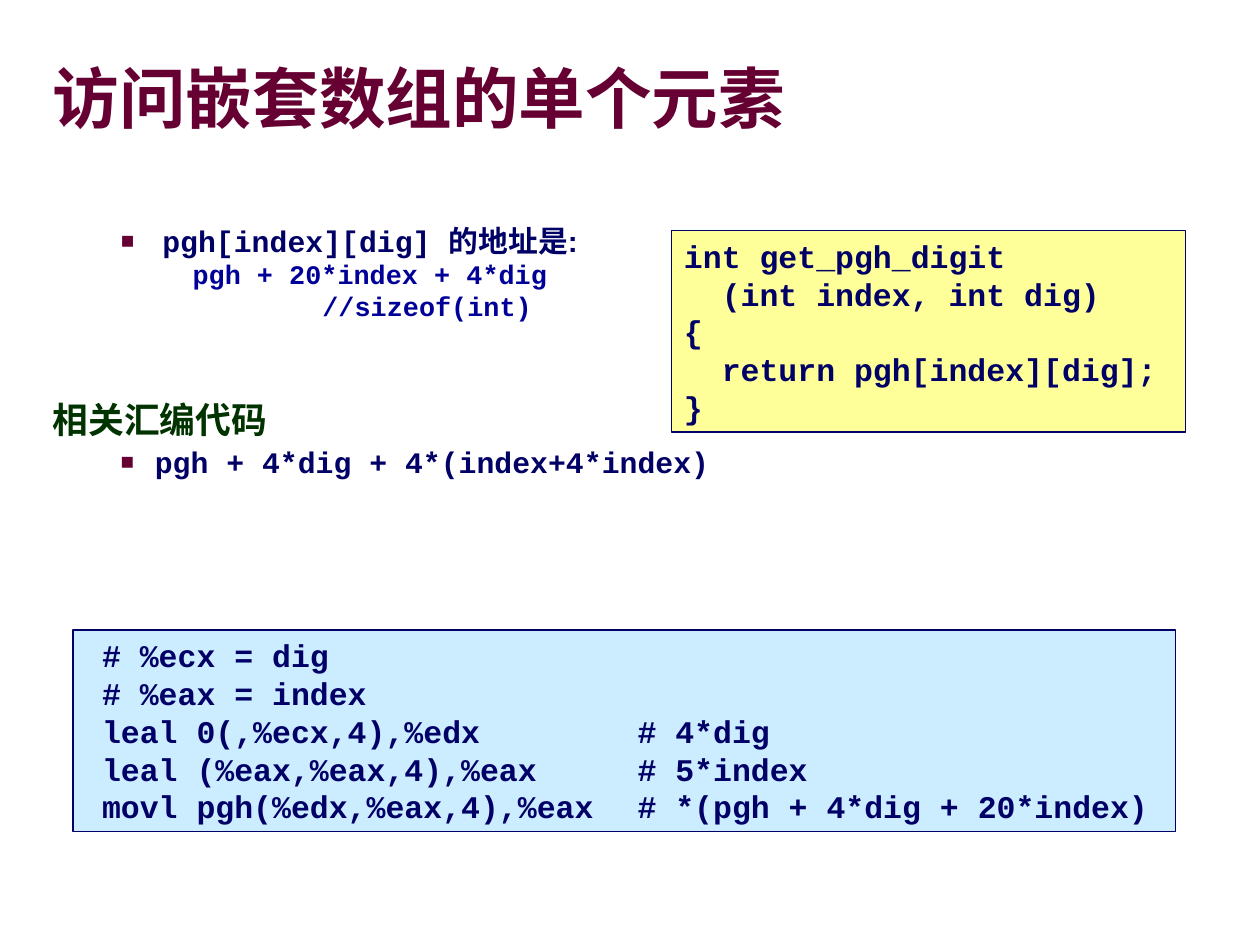
from lxml import etree
from pptx import Presentation
from pptx.dml.color import RGBColor
from pptx.enum import shapes, text
from pptx.oxml.ns import qn
from pptx.util import Inches, Pt

NAVY = "000066"
MAROON = "660033"
CODE_FONT = "Courier New"


def color(value):
    return RGBColor.from_string(value)


def add_element(parent, tag, **attributes):
    return etree.SubElement(parent, qn(tag), attributes)


def set_frame(frame, margins, anchor=text.MSO_ANCHOR.TOP):
    left, top, right, bottom = margins
    values = {
        "word_wrap": True,
        "vertical_anchor": anchor,
        "margin_left": Inches(left),
        "margin_top": Inches(top),
        "margin_right": Inches(right),
        "margin_bottom": Inches(bottom),
    }
    for name, value in values.items():
        setattr(frame, name, value)


def add_run(paragraph, content, font, size, fill):
    run = paragraph.add_run()
    run.text = content
    for name, value in {"name": font, "size": Pt(size), "bold": True}.items():
        setattr(run.font, name, value)
    run.font.color.rgb = color(fill)
    return run


def place(shape, box):
    for name, value in zip(("left", "top", "width", "height"), box):
        setattr(shape, name, Inches(value))


def add_title(slide, box, content):
    title = slide.shapes.title
    place(title, box)
    set_frame(title.text_frame, (0, 0, 0, 0), text.MSO_ANCHOR.MIDDLE)
    paragraph = title.text_frame.paragraphs[0]
    paragraph.alignment = text.PP_ALIGN.LEFT
    paragraph.line_spacing = 0.87
    run = add_run(paragraph, content, "Arial", 38, MAROON)
    # Text shadow, directly after the fill of the run
    effects = etree.Element(qn("a:effectLst"))
    shadow = add_element(effects, "a:outerShdw", dist="50800", dir="2700000")
    add_element(shadow, "a:srgbClr", val="969696")
    run.font._element.find(qn("a:solidFill")).addnext(effects)


def add_outline(slide, box, items):
    shape = slide.shapes.add_textbox(*map(Inches, box))
    frame = shape.text_frame
    set_frame(frame, (0.1, 0.05, 0.1, 0.05))
    for number, item in enumerate(items):
        paragraph = frame.paragraphs[0] if number == 0 else frame.add_paragraph()
        paragraph.space_before = Pt(item.get("before", 0))
        paragraph.line_spacing = item.get("spacing", 1.0)
        properties = paragraph._p.get_or_add_pPr()
        properties.set("marL", str(Inches(item.get("left", 0))))
        if "hanging" in item:
            properties.set("indent", str(-Inches(item["hanging"])))
            bullet_color = add_element(properties, "a:buClr")
            add_element(bullet_color, "a:srgbClr", val=MAROON)
            add_element(properties, "a:buSzPct", val="75000")
            add_element(properties, "a:buFont", typeface="Arial")
            add_element(properties, "a:buChar", char="■")
        for content, font in item["runs"]:
            add_run(paragraph, content, font, item["size"], item["fill"])


def add_code(slide, box, fill, lines, left_margin=0.1, tab=None):
    shape = slide.shapes.add_shape(shapes.MSO_SHAPE.RECTANGLE, *map(Inches, box))
    shape.shadow.inherit = False
    shape.fill.solid()
    shape.fill.fore_color.rgb = color(fill)
    shape.line.color.rgb = color(NAVY)
    shape.line.width = Pt(1)
    frame = shape.text_frame
    set_frame(frame, (left_margin, 0.05, 0.1, 0.05))
    frame.auto_size = text.MSO_AUTO_SIZE.SHAPE_TO_FIT_TEXT
    for number, line in enumerate(lines):
        paragraph = frame.paragraphs[0] if number == 0 else frame.add_paragraph()
        paragraph.alignment = text.PP_ALIGN.LEFT
        if tab:
            tabs = add_element(paragraph._p.get_or_add_pPr(), "a:tabLst")
            add_element(tabs, "a:tab", pos=str(Inches(tab)), algn="l")
        add_run(paragraph, line, CODE_FONT, 18, NAVY)


def main():
    presentation = Presentation()
    presentation.slide_width = Inches(10)
    presentation.slide_height = Inches(7.5)
    slide = presentation.slides.add_slide(presentation.slide_layouts[5])

    add_title(slide, (0.42, 0.5, 9.06, 0.63), "访问嵌套数组的单个元素")

    # Address rule and its assembly form
    bullet = {"size": 17, "fill": NAVY}
    formula = {"size": 15.3, "fill": "000099", "spacing": 0.87, "before": 2.2}
    add_outline(slide, (0.32, 1.72, 6.29, 2.31), [
        {**bullet, "left": 0.87, "hanging": 0.33,
         "runs": [("pgh[index][dig] ", CODE_FONT), ("的地址是:", "Arial")]},
        {**formula, "left": 1.11, "runs": [("pgh + 20*index + 4*dig", CODE_FONT)]},
        {**formula, "left": 2.14, "runs": [("//sizeof(int)", CODE_FONT)]},
        {"size": 20.4, "fill": "003300", "spacing": 0.75, "before": 49,
         "runs": [("相关汇编代码", "Arial")]},
        {**bullet, "left": 0.81, "hanging": 0.27, "spacing": 0.8, "before": 6.2,
         "runs": [("pgh + 4*dig + 4*(index+4*index)", CODE_FONT)]},
    ])

    # C function
    add_code(slide, (5.33, 1.83, 4.08, 1.6), "FFFF99", [
        "int get_pgh_digit",
        "  (int index, int dig)",
        "{",
        "  return pgh[index][dig];",
        "}",
    ])

    # Assembly code with a column of comments
    add_code(slide, (0.58, 5, 8.75, 1.6), "CCECFF", [
        "# %ecx = dig",
        "# %eax = index",
        "leal 0(,%ecx,4),%edx\t# 4*dig",
        "leal (%eax,%eax,4),%eax\t# 5*index",
        "movl pgh(%edx,%eax,4),%eax\t# *(pgh + 4*dig + 20*index)",
    ], left_margin=0.23, tab=4.25)

    presentation.save("out.pptx")


if __name__ == "__main__":
    main()
